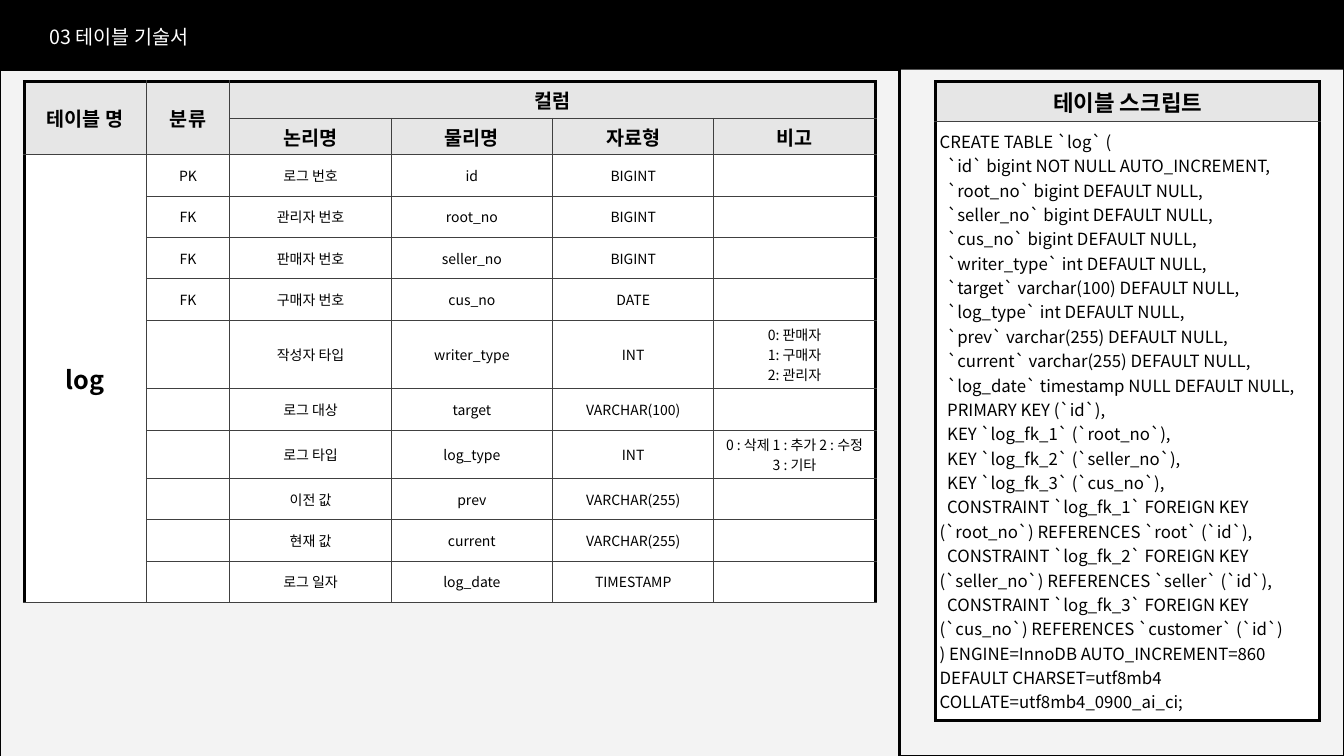
from lxml.etree import SubElement
from pptx import Presentation
from pptx.dml.color import RGBColor
from pptx.enum.shapes import MSO_SHAPE
from pptx.enum.text import MSO_ANCHOR, PP_ALIGN
from pptx.oxml.ns import qn
from pptx.util import Inches, Pt

FONT = "Noto Sans CJK KR"
COLORS = {"black": "000000", "white": "FFFFFF", "page": "F3F3F3",
          "header": "E6E6E6", "grid": "404040"}

TITLE = "03 테이블 기술서"
COLUMN_ROWS = [
    ("테이블 명", "분류", "컬럼", "", "", ""),
    ("", "", "논리명", "물리명", "자료형", "비고"),
    ("log", "PK", "로그 번호", "id", "BIGINT", ""),
    ("", "FK", "관리자 번호", "root_no", "BIGINT", ""),
    ("", "FK", "판매자 번호", "seller_no", "BIGINT", ""),
    ("", "FK", "구매자 번호", "cus_no", "DATE", ""),
    ("", "", "작성자 타입", "writer_type", "INT", "0: 판매자\n1: 구매자\n2: 관리자"),
    ("", "", "로그 대상", "target", "VARCHAR(100)", ""),
    ("", "", "로그 타입", "log_type", "INT", "0 : 삭제 1 : 추가 2 : 수정 3 : 기타"),
    ("", "", "이전 값", "prev", "VARCHAR(255)", ""),
    ("", "", "현재 값", "current", "VARCHAR(255)", ""),
    ("", "", "로그 일자", "log_date", "TIMESTAMP", ""),
]
COLUMN_MERGES = [((0, 0), (1, 0)), ((0, 1), (1, 1)), ((0, 2), (0, 5)), ((2, 0), (11, 0))]
COLUMN_WIDTHS = [1.21, 0.83] + [1.6] * 4
COLUMN_HEIGHTS = [0.35] * 2 + [0.41] * 10

SCRIPT_LINES = [
    "CREATE TABLE `log` (",
    "  `id` bigint NOT NULL AUTO_INCREMENT,",
    "  `root_no` bigint DEFAULT NULL,",
    "  `seller_no` bigint DEFAULT NULL,",
    "  `cus_no` bigint DEFAULT NULL,",
    "  `writer_type` int DEFAULT NULL,",
    "  `target` varchar(100) DEFAULT NULL,",
    "  `log_type` int DEFAULT NULL,",
    "  `prev` varchar(255) DEFAULT NULL,",
    "  `current` varchar(255) DEFAULT NULL,",
    "  `log_date` timestamp NULL DEFAULT NULL,",
    "  PRIMARY KEY (`id`),",
    "  KEY `log_fk_1` (`root_no`),",
    "  KEY `log_fk_2` (`seller_no`),",
    "  KEY `log_fk_3` (`cus_no`),",
    "  CONSTRAINT `log_fk_1` FOREIGN KEY (`root_no`) REFERENCES `root` (`id`),",
    "  CONSTRAINT `log_fk_2` FOREIGN KEY (`seller_no`) REFERENCES `seller` (`id`),",
    "  CONSTRAINT `log_fk_3` FOREIGN KEY (`cus_no`) REFERENCES `customer` (`id`)",
    ") ENGINE=InnoDB AUTO_INCREMENT=860 DEFAULT CHARSET=utf8mb4 COLLATE=utf8mb4_0900_ai_ci;",
]
SCRIPT_ROWS = [("테이블 스크립트",), ("\n".join(SCRIPT_LINES),)]


def rgb(name):
    return RGBColor.from_string(COLORS[name])


def write(tf, text, size, color="black", bold=False, align=PP_ALIGN.LEFT):
    tf.text = text
    for p in tf.paragraphs:
        p.alignment = align
        p.font.size = Pt(size)
        p.font.bold = bold
        p.font.name = FONT
        p.font.color.rgb = rgb(color)
        rPr = p._p.pPr.find(qn("a:defRPr"))
        SubElement(rPr, qn("a:ea"), typeface=FONT)
        if not text:
            SubElement(p._p, qn("a:endParaRPr"), sz=str(size * 100))


def add_panel(x, y, w, h, fill=None):
    s = slide.shapes.add_shape(MSO_SHAPE.RECTANGLE, Inches(x), Inches(y), Inches(w), Inches(h))
    s.shadow.inherit = False
    if fill:
        s.fill.solid()
        s.fill.fore_color.rgb = rgb(fill)
        s.line.fill.background()
    else:
        s.fill.background()
        s.line.color.rgb = rgb("black")
        s.line.width = Pt(1.5)


def set_borders(cell, thick_sides):
    tcPr = cell._tc.get_or_add_tcPr()
    for i, side in enumerate("LRTB"):
        thick = side in thick_sides
        ln = SubElement(tcPr, qn(f"a:ln{side}"), w=str(Pt(2.25 if thick else 0.75)))
        fill = SubElement(ln, qn("a:solidFill"))
        SubElement(fill, qn("a:srgbClr"), val=COLORS["black" if thick else "grid"])
        tcPr.insert(i, ln)


def add_grid(x, y, rows, widths, heights, merges, header_rows, style, closed):
    frame = slide.shapes.add_table(len(rows), len(widths), Inches(x), Inches(y),
                                   Inches(sum(widths)), Inches(sum(heights)))
    table = frame.table
    for column, width in zip(table.columns, widths):
        column.width = Inches(width)
    for row, height in zip(table.rows, heights):
        row.height = Inches(height)
    for first, last in merges:
        table.cell(*first).merge(table.cell(*last))
    for r, values in enumerate(rows):
        for c, text in enumerate(values):
            cell = table.cell(r, c)
            cell.margin_left = cell.margin_right = Inches(0.04)
            cell.margin_top = cell.margin_bottom = Inches(0.04)
            cell.vertical_anchor = MSO_ANCHOR.MIDDLE
            cell.fill.solid()
            cell.fill.fore_color.rgb = rgb("header" if r < header_rows else "white")
            write(cell.text_frame, text, **style(r, c))
            last_col = c + (cell.span_width if cell.is_merge_origin else 1) - 1
            sides = {"L": c == 0, "R": last_col == len(widths) - 1,
                     "T": r == 0, "B": closed and r == len(rows) - 1}
            set_borders(cell, [side for side, thick in sides.items() if thick])


def column_style(r, c):
    size = 14 if r < 2 else 18 if (r, c) == (2, 0) else 10
    return {"size": size, "bold": size > 10, "align": PP_ALIGN.CENTER}


def script_style(r, c):
    if r == 0:
        return {"size": 16, "bold": True, "align": PP_ALIGN.CENTER}
    return {"size": 12}


prs = Presentation()
prs.slide_width, prs.slide_height = Inches(13.33), Inches(7.5)
slide = prs.slides.add_slide(prs.slide_layouts[6])
slide.background.fill.solid()
slide.background.fill.fore_color.rgb = rgb("page")

add_panel(0, 0, 13.33, 0.69, "black")
add_panel(0, 0.69, 8.92, 6.82)
add_panel(8.93, 0.39, 4.4, 7.11)
add_grid(0.24, 0.81, COLUMN_ROWS, COLUMN_WIDTHS, COLUMN_HEIGHTS, COLUMN_MERGES, 2,
         column_style, False)
add_grid(9.28, 0.81, SCRIPT_ROWS, [3.81], [0.36, 5.94], [], 1, script_style, True)

title = slide.shapes.add_textbox(Inches(0.39), Inches(0.2), Inches(6.67), Inches(0.34))
title.text_frame.word_wrap = True
write(title.text_frame, TITLE, 14, "white")

prs.save("out.pptx")
